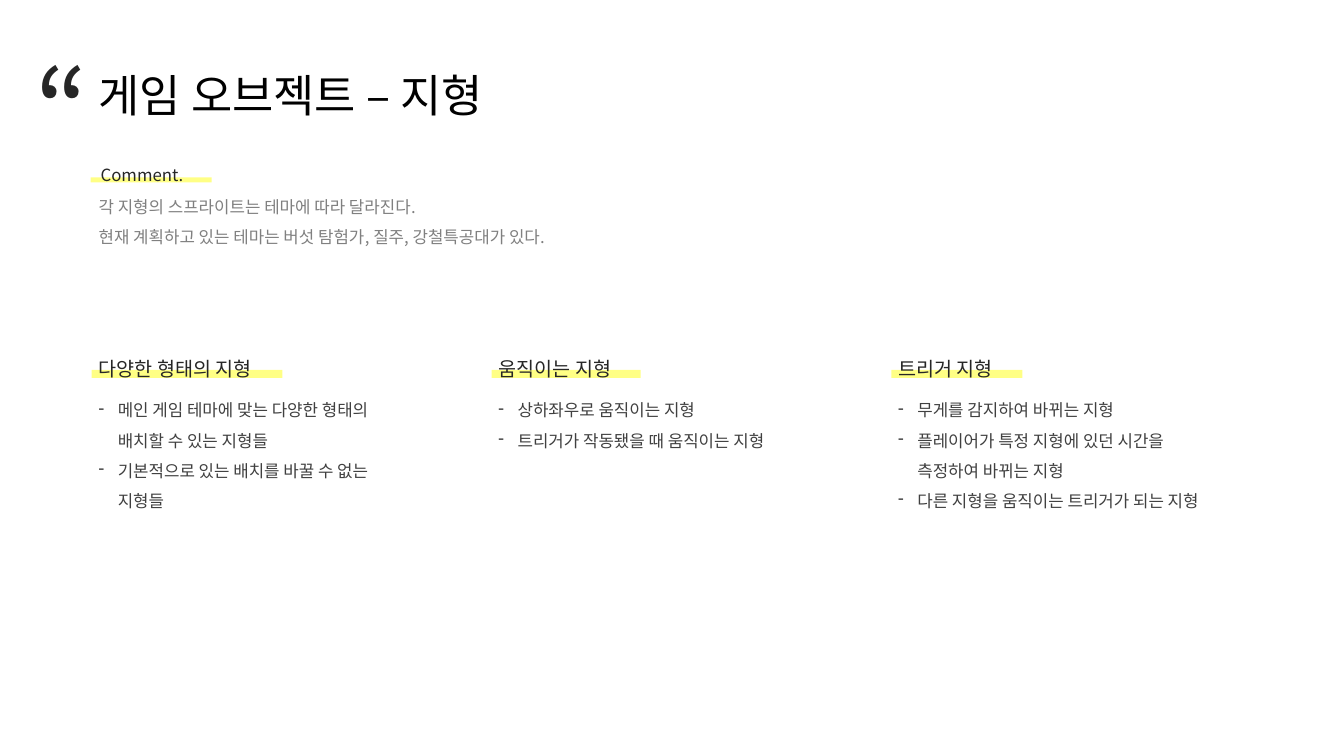
from dataclasses import dataclass

from lxml.etree import SubElement
from pptx import Presentation
from pptx.dml.color import RGBColor as Rgb
from pptx.enum.shapes import MSO_SHAPE as Preset
from pptx.enum.text import MSO_AUTO_SIZE as AutoSize
from pptx.oxml.ns import qn
from pptx.slide import Slide
from pptx.util import Inches, Pt


@dataclass(frozen=True)
class TextStyle:
    size: int
    color: str
    line_spacing: float = 1.0
    bullet: str = ""


@dataclass(frozen=True)
class Theme:
    font: str = "Noto Sans CJK KR"
    highlight: str = "FFFF00"
    highlight_alpha: int = 48
    title: TextStyle = TextStyle(32, "000000")
    quote: TextStyle = TextStyle(80, "262626")
    label: TextStyle = TextStyle(12, "262626", 1.5)
    comment: TextStyle = TextStyle(12, "808080", 1.5)
    heading: TextStyle = TextStyle(14, "262626", 1.5)
    detail: TextStyle = TextStyle(12, "404040", 1.5, "-")


@dataclass(frozen=True)
class Box:
    left: float
    top: float
    width: float
    height: float

    def lengths(self) -> tuple[int, ...]:
        return tuple(Inches(v) for v in (self.left, self.top, self.width, self.height))


@dataclass(frozen=True)
class Terrain:
    heading: str
    details: tuple[str, ...]
    highlight_width: float
    details_width: float
    details_height: float


THEME = Theme()
LEFT = 0.88
COLUMN_PITCH = (8.81 - LEFT) / 2
BULLET_INDENT = 0.19

TERRAINS = (
    Terrain(
        "다양한 형태의 지형",
        ("메인 게임 테마에 맞는 다양한 형태의 배치할 수 있는 지형들",
         "기본적으로 있는 배치를 바꿀 수 없는 지형들"),
        1.89, 3.06, 1.28,
    ),
    Terrain(
        "움직이는 지형",
        ("상하좌우로 움직이는 지형", "트리거가 작동됐을 때 움직이는 지형"),
        1.48, 3.19, 0.98,
    ),
    Terrain(
        "트리거 지형",
        ("무게를 감지하여 바뀌는 지형",
         "플레이어가 특정 지형에 있던 시간을 측정하여 바뀌는 지형",
         "다른 지형을 움직이는 트리거가 되는 지형"),
        1.3, 3.28, 1.58,
    ),
)


def add_text(slide: Slide, box: Box, style: TextStyle, *lines: str) -> None:
    frame = slide.shapes.add_textbox(*box.lengths()).text_frame
    frame_format = {"word_wrap": True, "auto_size": AutoSize.SHAPE_TO_FIT_TEXT}
    for name, value in frame_format.items():
        setattr(frame, name, value)

    font_format = {"size": Pt(style.size), "name": THEME.font}
    for index, line in enumerate(lines):
        paragraph = frame.add_paragraph() if index else frame.paragraphs[0]
        paragraph.line_spacing = style.line_spacing
        run = paragraph.add_run()
        run.text = line
        run.font.color.rgb = Rgb.from_string(style.color)
        for name, value in font_format.items():
            setattr(run.font, name, value)
        # Korean glyphs take the East Asian font
        SubElement(run._r.get_or_add_rPr(), qn("a:ea"), typeface=THEME.font)
        if style.bullet:
            properties = paragraph._p.get_or_add_pPr()
            properties.set("marL", str(Inches(BULLET_INDENT)))
            properties.set("indent", str(-Inches(BULLET_INDENT)))
            SubElement(properties, qn("a:buChar"), char=style.bullet)


def add_highlight(slide: Slide, box: Box) -> None:
    marker = slide.shapes.add_shape(Preset.RECTANGLE, *box.lengths())
    marker.shadow.inherit = False
    marker.line.fill.background()
    marker.fill.solid()
    marker.fill.fore_color.rgb = Rgb.from_string(THEME.highlight)
    color = next(marker._element.spPr.iter(qn("a:srgbClr")))
    SubElement(color, qn("a:alpha"), val=str(THEME.highlight_alpha * 1000))


def add_terrain(slide: Slide, left: float, terrain: Terrain) -> None:
    add_text(slide, Box(left, 3.82, terrain.details_width, terrain.details_height),
             THEME.detail, *terrain.details)
    add_highlight(slide, Box(left + 0.03, 3.67, terrain.highlight_width, 0.08))
    add_text(slide, Box(left, 3.37, 3.19, 0.42), THEME.heading, terrain.heading)


def main() -> None:
    deck = Presentation()
    deck.slide_width, deck.slide_height = Inches(13.33), Inches(7.5)
    slide = deck.slides.add_slide(deck.slide_layouts[6])

    # Title with its quotation mark
    add_text(slide, Box(LEFT, 0.62, 6.58, 0.64), THEME.title, "게임 오브젝트 – 지형")
    add_text(slide, Box(0.25, 0.35, 0.83, 1.45), THEME.quote, "“")

    # Terrain columns
    for index, terrain in enumerate(TERRAINS):
        add_terrain(slide, LEFT + index * COLUMN_PITCH, terrain)

    # Comment
    add_highlight(slide, Box(0.9, 1.76, 1.2, 0.05))
    add_text(slide, Box(0.9, 1.49, 3.03, 0.37), THEME.label, "Comment.")
    add_text(slide, Box(LEFT, 1.8, 4.63, 0.67), THEME.comment,
             "각 지형의 스프라이트는 테마에 따라 달라진다.",
             "현재 계획하고 있는 테마는 버섯 탐험가, 질주, 강철특공대가 있다.")

    deck.save("out.pptx")


if __name__ == "__main__":
    main()
